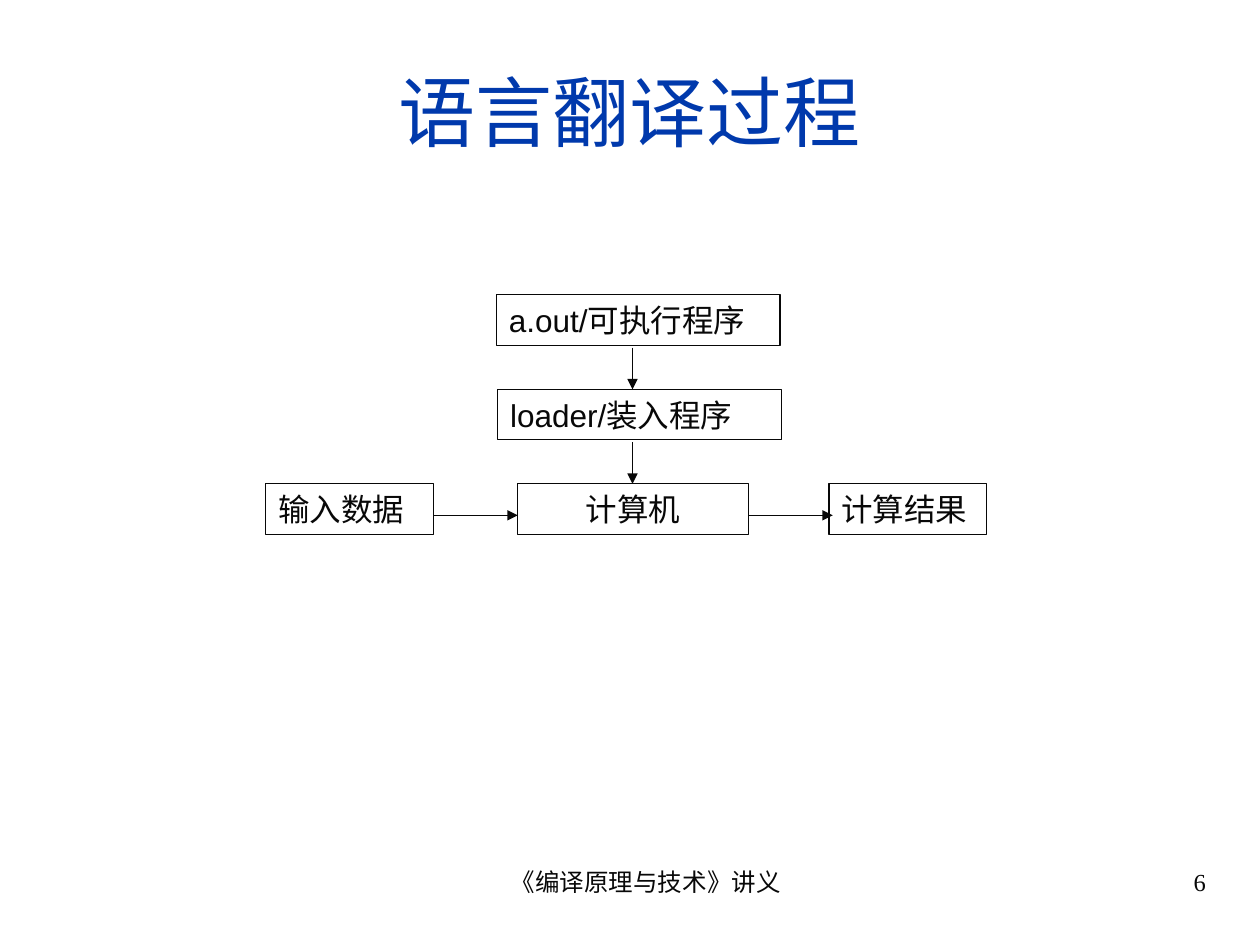
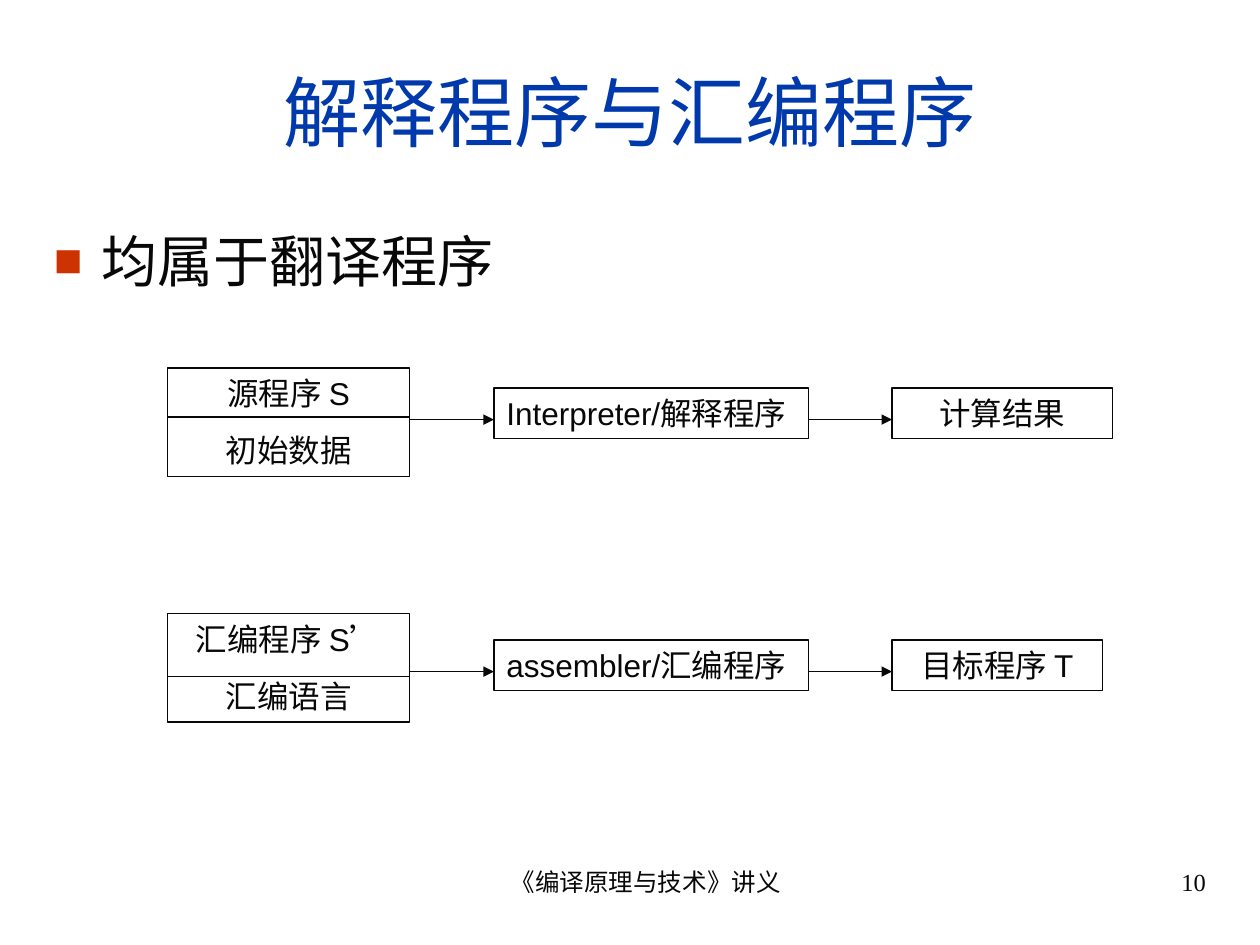
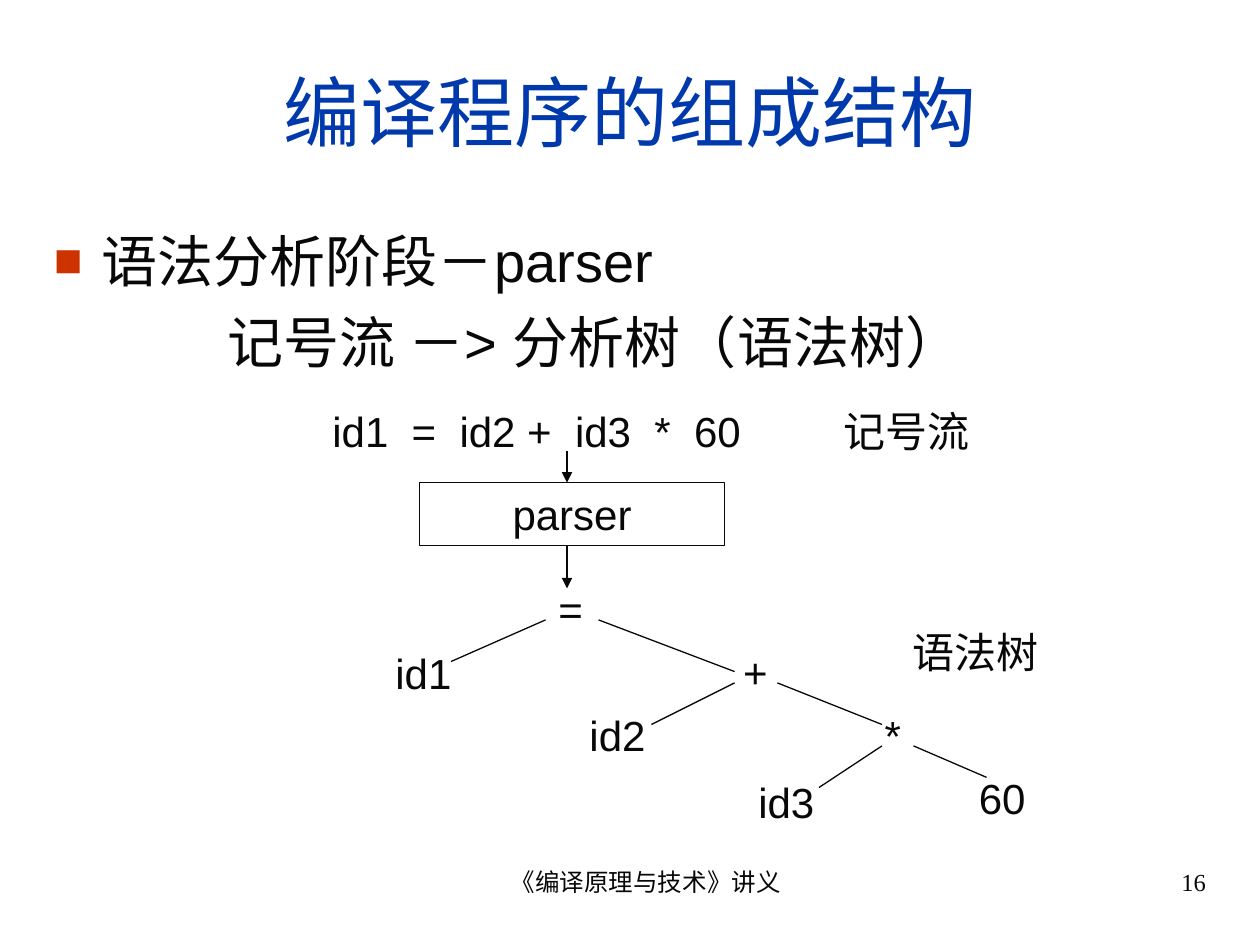
"""Build three lecture slides on how programs are translated."""
from lxml import etree
from pptx import Presentation
from pptx.dml.color import RGBColor
from pptx.enum import shapes, text
from pptx.oxml import ns
from pptx.util import Inches, Pt

INK, BLUE, RED = "080808", "0039AC", "CC3300"
LEFT, CENTER, RIGHT = text.PP_ALIGN.LEFT, text.PP_ALIGN.CENTER, text.PP_ALIGN.RIGHT


def write(canvas, place, wording, size, align=LEFT, color=INK, font="Arial", framed=False):
    lengths = [Inches(value) for value in place]
    if framed:
        box = canvas.add_shape(shapes.MSO_SHAPE.RECTANGLE, *lengths)
        box.shadow.inherit = False
        box.fill.background()
        box.line.color.rgb = RGBColor.from_string(INK)
        box.line.width = Pt(0.75)
    else:
        box = canvas.add_textbox(*lengths)
    frame = box.text_frame
    frame.word_wrap = True
    frame.vertical_anchor = text.MSO_ANCHOR.TOP
    frame.text = wording
    for para in frame.paragraphs:
        para.alignment = align
        for span in para.runs:
            span.font.name = font
            span.font.size = Pt(size)
            span.font.color.rgb = RGBColor.from_string(color)
    return box


def connect(canvas, start, end, arrow=True):
    line = canvas.add_connector(shapes.MSO_CONNECTOR.STRAIGHT, *map(Inches, (*start, *end)))
    line.line.color.rgb = RGBColor.from_string(INK)
    line.line.width = Pt(0.75)
    if arrow:
        etree.SubElement(line.line._get_or_add_ln(), ns.qn("a:tailEnd"), type="triangle")
    etree.SubElement(line._element.spPr, ns.qn("a:effectLst"))


deck = Presentation()
deck.slide_width, deck.slide_height = Inches(10), Inches(7.5)

pages = []
for title, number, body in [
    ("语言翻译过程", "6", None),
    ("解释程序与汇编程序", "10", "均属于翻译程序"),
    ("编译程序的组成结构", "16", "语法分析阶段－parser\n记号流 －> 分析树（语法树）"),
]:
    page = deck.slides.add_slide(deck.slide_layouts[6])
    pages.append(page.shapes)
    heading = write(page.shapes, (0.33, 0.25, 9.34, 1.25), title, 44, CENTER, BLUE)
    heading.text_frame.vertical_anchor = text.MSO_ANCHOR.MIDDLE
    footer = write(page.shapes, (3.42, 6.83, 3.17, 0.52), "《编译原理与技术》讲义", 14, CENTER, font="Times New Roman")
    footer.text_frame.margin_left = Inches(0.34)
    write(page.shapes, (7.17, 6.83, 2.5, 0.52), number, 14, RIGHT, font="Times New Roman")
    if body:
        outline = write(page.shapes, (0.33, 1.75, 9.34, 1.33), body, 32)
        first, *others = outline.text_frame.paragraphs
        props = first._p.get_or_add_pPr()
        props.set("marL", str(Inches(0.38)))
        props.set("indent", str(-Inches(0.38)))
        bullet_color = etree.SubElement(props, ns.qn("a:buClr"))
        etree.SubElement(bullet_color, ns.qn("a:srgbClr"), val=RED)
        etree.SubElement(props, ns.qn("a:buSzPct"), val="85000")
        etree.SubElement(props, ns.qn("a:buFont"), typeface="Arial")
        etree.SubElement(props, ns.qn("a:buChar"), char="■")
        for para in others:
            para.space_before = Pt(8)
            para._p.get_or_add_pPr().set("marL", str(Inches(1.38)))

process, translators, syntax = pages

for left, top, width, label, align in [
    (3.94, 2.34, 2.25, "a.out/可执行程序", LEFT),
    (3.95, 3.09, 2.25, "loader/装入程序", LEFT),
    (4.11, 3.84, 1.83, "计算机", CENTER),
    (2.11, 3.84, 1.33, "输入数据", LEFT),
    (6.58, 3.84, 1.25, "计算结果", LEFT),
]:
    write(process, (left, top, width, 0.4), label, 18, align, framed=True)
for top in (2.76, 3.51):
    connect(process, (5.02, top), (5.02, top + 0.33))
for left in (3.44, 5.94):
    connect(process, (left, 4.09), (left + 0.67, 4.09))

for top, source_top, divider, source, translator, result, result_width in [
    (3.08, 2.92, 3.31, "源程序 S\n初始数据", "Interpreter/解释程序", "计算结果", 1.75),
    (5.08, 4.87, 5.37, "汇编程序 S’\n汇编语言", "assembler/汇编程序", "目标程序 T", 1.67),
]:
    flow = translators.add_group_shape().shapes
    source_box = write(flow, (1.33, source_top, 1.92, 0.86), source, 18, CENTER, framed=True)
    source_box.text_frame.paragraphs[1].space_before = Pt(11.2)
    connect(flow, (1.33, divider), (3.25, divider), arrow=False)
    write(flow, (3.92, top, 2.5, 0.4), translator, 18, framed=True)
    write(flow, (7.08, top, result_width, 0.4), result, 18, CENTER, framed=True)
    for start, end in [(3.25, 3.92), (6.42, 7.08)]:
        connect(flow, (start, top + 0.25), (end, top + 0.25))

tokens = write(syntax, (2.54, 3.17, 5.46, 0.5), "id1  =  id2 +  id3  *  60\t记号流", 24)
token_props = tokens.text_frame.paragraphs[0]._p.get_or_add_pPr()
tab_list = etree.SubElement(token_props, ns.qn("a:tabLst"))
etree.SubElement(tab_list, ns.qn("a:tab"), pos=str(Inches(4.06)), algn="l")
write(syntax, (3.33, 3.83, 2.42, 0.5), "parser", 24, CENTER, framed=True)
for top, bottom in [(3.58, 3.83), (4.33, 4.67)]:
    connect(syntax, (4.5, top), (4.5, bottom))

for left, top, width, label, align in [
    (4.03, 4.58, 1, "=", CENTER),
    (3.04, 5.09, 0.83, "id1", LEFT),
    (5.58, 5.08, 0.83, "+", CENTER),
    (4.58, 5.58, 0.83, "id2", LEFT),
    (6.67, 5.58, 0.83, "*", CENTER),
    (5.92, 6.11, 0.83, "id3", LEFT),
    (7.67, 6.08, 0.83, "60", LEFT),
    (6.83, 4.92, 1.83, "语法树", CENTER),
]:
    write(syntax, (left, top, width, 0.5), label, 24, align)
for parent, child in [
    ((4.33, 4.92), (3.58, 5.25)),
    ((4.75, 4.92), (5.83, 5.33)),
    ((5.83, 5.42), (5.17, 5.75)),
    ((6.17, 5.42), (7, 5.75)),
    ((7, 5.92), (6.5, 6.25)),
    ((7.25, 5.92), (7.83, 6.17)),
]:
    connect(syntax, parent, child, arrow=False)

deck.save("out.pptx")
